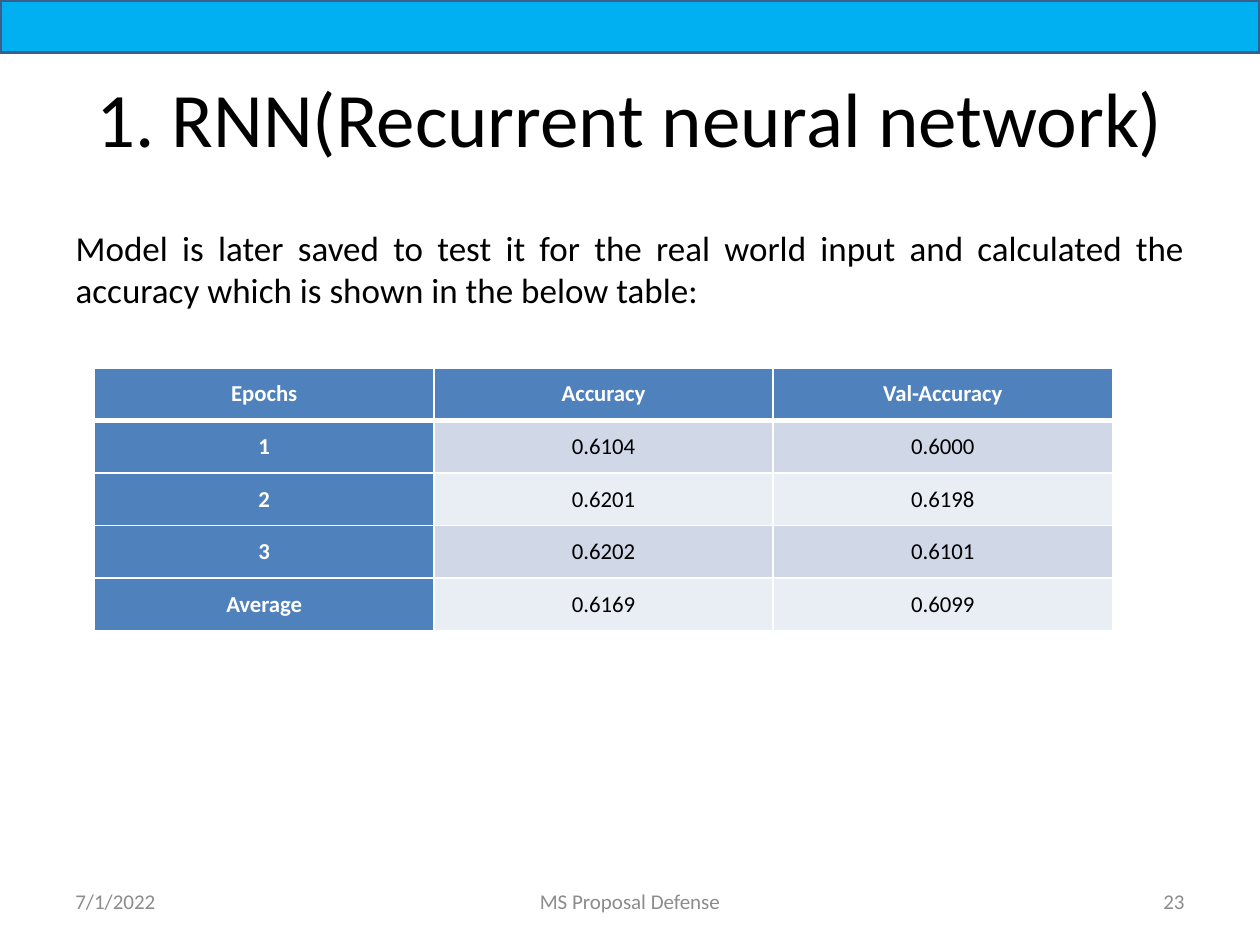
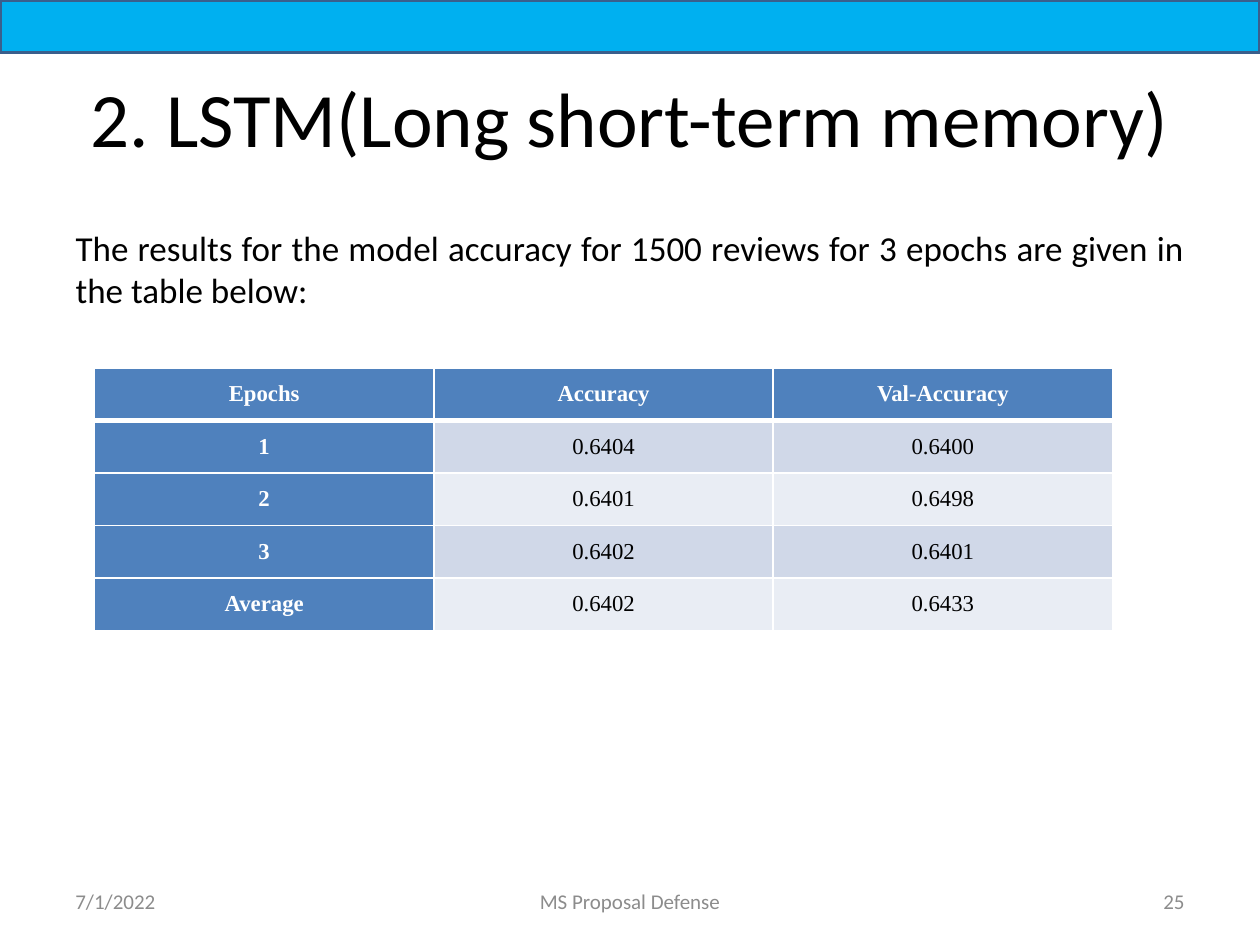
from lxml.etree import SubElement
from pptx import Presentation
from pptx.dml.color import RGBColor
from pptx.enum.shapes import MSO_SHAPE
from pptx.enum.text import MSO_ANCHOR, PP_ALIGN
from pptx.oxml.ns import qn
from pptx.util import Inches, Pt

# Shared style
COLORS = {
    "band": "00B0F0",
    "band_line": "3A5F8C",
    "text": "000000",
    "footer": "8C8C8C",
    "white": "FFFFFF",
    "header": "4F81BD",
    "odd_row": "D0D8E8",
    "even_row": "E9EDF4",
}
FONT = "Calibri"
SLIDE_WIDTH, SLIDE_HEIGHT = 10, 7.5
MARGIN = 0.5
CONTENT_WIDTH = SLIDE_WIDTH - 2 * MARGIN
ROW_HEIGHT = 0.417
COLUMN_WIDTH = 2.693
DATE = "7/1/2022"
FOOTER = "MS Proposal Defense"
TABLE_HEADER = ("Epochs", "Accuracy", "Val-Accuracy")

# Slide content
RESULTS = [
    {
        "title": "1. RNN(Recurrent neural network)",
        "intro": "Model is later saved to test it for the real world input and "
                 "calculated the accuracy which is shown in the below table:",
        "number": "23",
        "table_font": FONT,
        "rows": [("1", "0.6104", "0.6000"), ("2", "0.6201", "0.6198"),
                 ("3", "0.6202", "0.6101"), ("Average", "0.6169", "0.6099")],
    },
    {
        "title": "2. LSTM(Long short-term memory)",
        "intro": "The results for the model accuracy for 1500 reviews for "
                 "3 epochs are given in the table below:",
        "number": "25",
        "table_font": "Times New Roman",
        "rows": [("1", "0.6404", "0.6400"), ("2", "0.6401", "0.6498"),
                 ("3", "0.6402", "0.6401"), ("Average", "0.6402", "0.6433")],
    },
]


def color(name):
    return RGBColor.from_string(COLORS[name])


def place(shape, left, top, width, height):
    shape.left, shape.top = Inches(left), Inches(top)
    shape.width, shape.height = Inches(width), Inches(height)


def write(text_frame, text, size, color_name, alignment, font=FONT, bold=False):
    text_frame.text = text
    paragraph = text_frame.paragraphs[0]
    paragraph.alignment = alignment
    paragraph.font.name = font
    paragraph.font.size = Pt(size)
    paragraph.font.bold = bold
    paragraph.font.color.rgb = color(color_name)
    return paragraph


def add_band(slide):
    band = slide.shapes.add_shape(MSO_SHAPE.RECTANGLE, 0, 0,
                                  Inches(SLIDE_WIDTH), Inches(ROW_HEIGHT))
    band.shadow.inherit = False
    band.fill.solid()
    band.fill.fore_color.rgb = color("band")
    band.line.color.rgb = color("band_line")
    band.line.width = Pt(2)


def fill_title(slide, text):
    title = slide.shapes.title
    place(title, MARGIN, 0.3, CONTENT_WIDTH, 1.25)
    title.text_frame.vertical_anchor = MSO_ANCHOR.MIDDLE
    write(title.text_frame, text, 44, "text", PP_ALIGN.CENTER)


def fill_body(slide, text):
    body = slide.placeholders[1]
    place(body, MARGIN, 1.75, CONTENT_WIDTH, 4.95)
    paragraph = write(body.text_frame, text, 20, "text", PP_ALIGN.JUSTIFY)
    # Plain paragraph: no bullet and no hanging indent
    properties = paragraph._p.get_or_add_pPr()
    properties.set("marL", "0")
    properties.set("indent", "0")
    SubElement(properties, qn("a:buNone"))


def add_footers(slide, number):
    side_width, middle_width = 2.33, 3.17
    footers = [
        (DATE, MARGIN, side_width, PP_ALIGN.LEFT),
        (FOOTER, (SLIDE_WIDTH - middle_width) / 2, middle_width, PP_ALIGN.CENTER),
        (number, SLIDE_WIDTH - MARGIN - side_width, side_width, PP_ALIGN.RIGHT),
    ]
    for text, left, width, alignment in footers:
        box = slide.shapes.add_textbox(Inches(left), Inches(6.95),
                                       Inches(width), Inches(0.4))
        box.text_frame.word_wrap = True
        box.text_frame.vertical_anchor = MSO_ANCHOR.MIDDLE
        write(box.text_frame, text, 12, "footer", alignment)


def set_borders(cell, row_index):
    """White rules, thicker between the header and the first row."""
    widths = {"L": 1, "R": 1,
              "T": 3 if row_index == 1 else 1,
              "B": 3 if row_index == 0 else 1}
    properties = cell._tc.get_or_add_tcPr()
    for side, width in widths.items():
        line = SubElement(properties, qn(f"a:ln{side}"), w=str(Pt(width)))
        fill = SubElement(line, qn("a:solidFill"))
        SubElement(fill, qn("a:srgbClr"), val=COLORS["white"])


def format_cell(cell, text, row_index, column_index, font):
    is_header = row_index == 0 or column_index == 0
    set_borders(cell, row_index)
    cell.fill.solid()
    band = "odd_row" if row_index % 2 else "even_row"
    cell.fill.fore_color.rgb = color("header" if is_header else band)
    cell.vertical_anchor = MSO_ANCHOR.MIDDLE
    cell.margin_left = cell.margin_right = Inches(0.07)
    cell.margin_top = cell.margin_bottom = 0
    write(cell.text_frame, text, 13, "white" if is_header else "text",
          PP_ALIGN.CENTER, font, is_header)


def add_results_table(slide, rows, font):
    rows = [TABLE_HEADER, *rows]
    table = slide.shapes.add_table(
        len(rows), len(TABLE_HEADER), Inches(0.75), Inches(2.92),
        Inches(COLUMN_WIDTH * len(TABLE_HEADER)),
        Inches(ROW_HEIGHT * len(rows))).table
    for row_index, row in enumerate(rows):
        for column_index, text in enumerate(row):
            format_cell(table.cell(row_index, column_index), text,
                        row_index, column_index, font)


def main():
    presentation = Presentation()
    presentation.slide_width = Inches(SLIDE_WIDTH)
    presentation.slide_height = Inches(SLIDE_HEIGHT)
    for result in RESULTS:
        slide = presentation.slides.add_slide(presentation.slide_layouts[1])
        add_band(slide)
        fill_title(slide, result["title"])
        fill_body(slide, result["intro"])
        add_footers(slide, result["number"])
        add_results_table(slide, result["rows"], result["table_font"])
    presentation.save("out.pptx")


if __name__ == "__main__":
    main()
